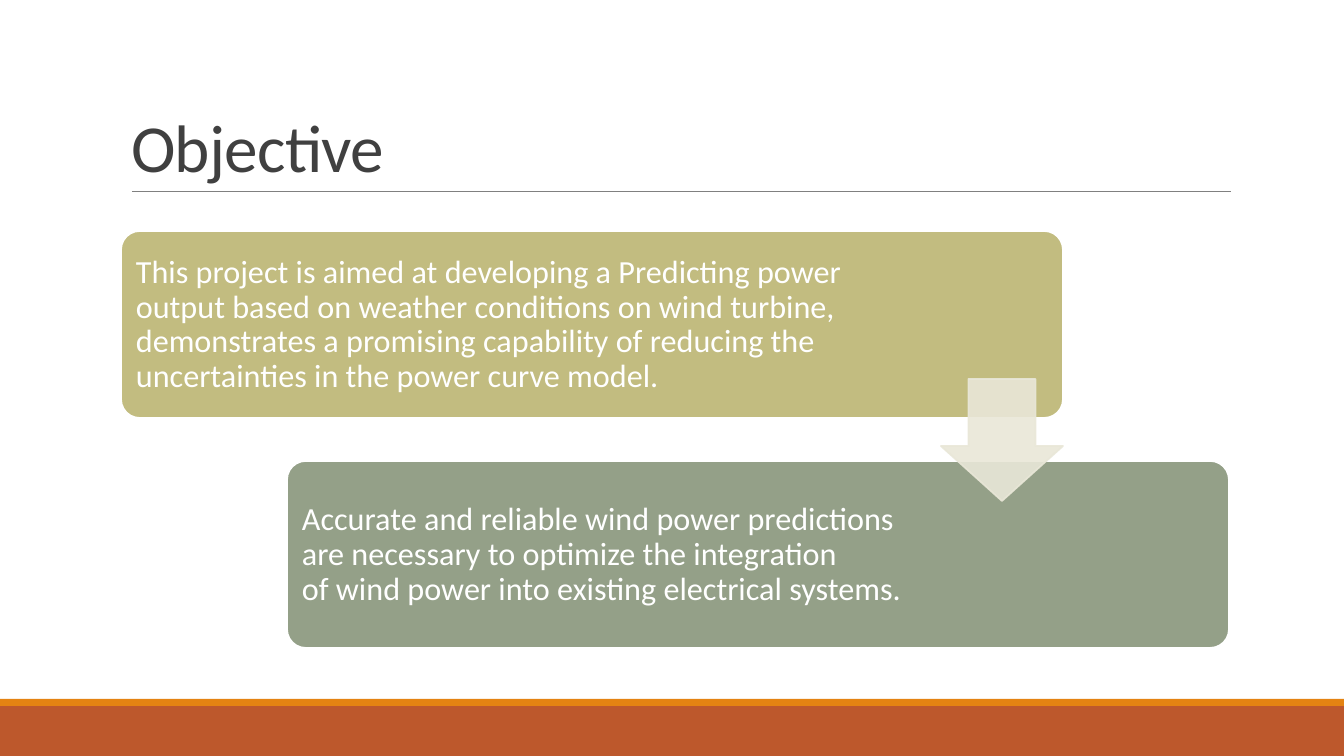
from lxml import etree
from pptx import Presentation, util as u
from pptx.dml.color import RGBColor
from pptx.enum import shapes, text
from pptx.oxml.ns import qn

SCALE = 914400 / 100.8  # EMU per pixel
SLIDE_W, SLIDE_H = 1344, 756
FONT = "Calibri"

WHITE = RGBColor(0xFF, 0xFF, 0xFF)
TITLE_GREY = RGBColor(0x40, 0x40, 0x40)
RULE_GREY = RGBColor(0x80, 0x80, 0x80)
RUST = RGBColor(0xBD, 0x58, 0x2C)
ORANGE = RGBColor(0xE4, 0x83, 0x12)
OLIVE = RGBColor(0xC2, 0xBC, 0x80)
SAGE = RGBColor(0x94, 0xA0, 0x88)
CREAM = RGBColor(0xE9, 0xE7, 0xD8)

CARD_W, CARD_H = 942, 187
TEXT_DX, TEXT_DY, TEXT_H = 5, 6, 176

AIM = ("This project is aimed at developing a Predicting power output based on "
       "weather conditions on wind turbine, demonstrates a promising capability "
       "of reducing the uncertainties in the power curve\u00a0model.")
NEED = ("Accurate and reliable\u00a0wind\u00a0power predictions are necessary to "
        "optimize the integration of\u00a0wind\u00a0power into existing "
        "electrical systems.")

# left, top, colour, text width, wording
STEPS = [
    (121, 231, OLIVE, 748, AIM),
    (287, 461, SAGE, 643, NEED),
]


def px(*lengths):
    """Turn pixel lengths into a list of EMU lengths."""
    return [u.Emu(round(length * SCALE)) for length in lengths]


def set_all(target, formats):
    """Set every attribute named in a dict of format values."""
    for name, value in formats.items():
        setattr(target, name, value)


def write(frame, wording, size, color, spacing, frame_formats):
    """Put one formatted paragraph into a text frame and return its run."""
    set_all(frame, {"word_wrap": True, "auto_size": text.MSO_AUTO_SIZE.NONE,
                    **frame_formats})
    paragraph = frame.paragraphs[0]
    set_all(paragraph, {"alignment": text.PP_ALIGN.LEFT, "line_spacing": spacing})
    run = paragraph.add_run()
    run.text = wording
    set_all(run.font, {"name": FONT, "size": u.Pt(size)})
    run.font.color.rgb = color
    return run


def add_block(slide, preset, box, fill, outline=None, adjustments=()):
    """Add a filled preset shape, with an outline if a colour is given."""
    block = slide.shapes.add_shape(preset, *px(*box))
    block.shadow.inherit = False
    block.fill.solid()
    block.fill.fore_color.rgb = fill
    if outline is None:
        block.line.fill.background()
    else:
        block.line.color.rgb = outline
        block.line.width = u.Pt(1.25)
    for index, value in enumerate(adjustments):
        block.adjustments[index] = value
    return block


def add_rule(slide, left, right, y):
    """Add the thin horizontal line below the title."""
    rule = slide.shapes.add_connector(
        shapes.MSO_CONNECTOR.STRAIGHT, *px(left, y, right, y))
    rule.line.color.rgb = RULE_GREY
    rule.line.width = u.Pt(0.5)
    etree.SubElement(rule._element.spPr, qn("a:effectLst"))


def add_title(slide, wording):
    """Place and format the title placeholder."""
    title = slide.shapes.title
    set_all(title, dict(zip(("left", "top", "width", "height"),
                            px(121, 31, 1109, 160))))
    run = write(title.text_frame, wording, 48, TITLE_GREY, 0.85,
                {"vertical_anchor": text.MSO_ANCHOR.BOTTOM})
    run._r.get_or_add_rPr().set("spc", "-50")


def add_step(slide, left, top, color, text_width, wording):
    """Add a rounded card with its text on the left."""
    add_block(slide, shapes.MSO_SHAPE.ROUNDED_RECTANGLE,
              (left, top, CARD_W, CARD_H), color, WHITE, [0.1])
    label = slide.shapes.add_textbox(
        *px(left + TEXT_DX, top + TEXT_DY, text_width, TEXT_H))
    inset = u.Inches(0.1)
    sides = ("left", "top", "right", "bottom")
    write(label.text_frame, wording, 23, WHITE, 0.9,
          {"vertical_anchor": text.MSO_ANCHOR.MIDDLE,
           **{f"margin_{side}": inset for side in sides}})


def add_step_arrow(slide):
    """Add the translucent arrow that leads from one card to the next."""
    arrow = add_block(slide, shapes.MSO_SHAPE.DOWN_ARROW, (941, 379, 122, 122),
                      CREAM, CREAM, [0.55, 0.45])
    for color in arrow._element.spPr.iter(qn("a:srgbClr")):
        etree.SubElement(color, qn("a:alpha"), val="90000")


def main():
    """Build the slide and save it."""
    deck = Presentation()
    deck.slide_width, deck.slide_height = px(SLIDE_W, SLIDE_H)
    slide = deck.slides.add_slide(deck.slide_layouts[5])

    for top, height, color in ((706, 50, RUST), (699, 7, ORANGE)):
        add_block(slide, shapes.MSO_SHAPE.RECTANGLE,
                  (0, top, SLIDE_W, height), color)
    add_rule(slide, 132, 1231, 191)
    add_title(slide, "Objective")
    for step in STEPS:
        add_step(slide, *step)
    add_step_arrow(slide)

    deck.save("out.pptx")


main()
